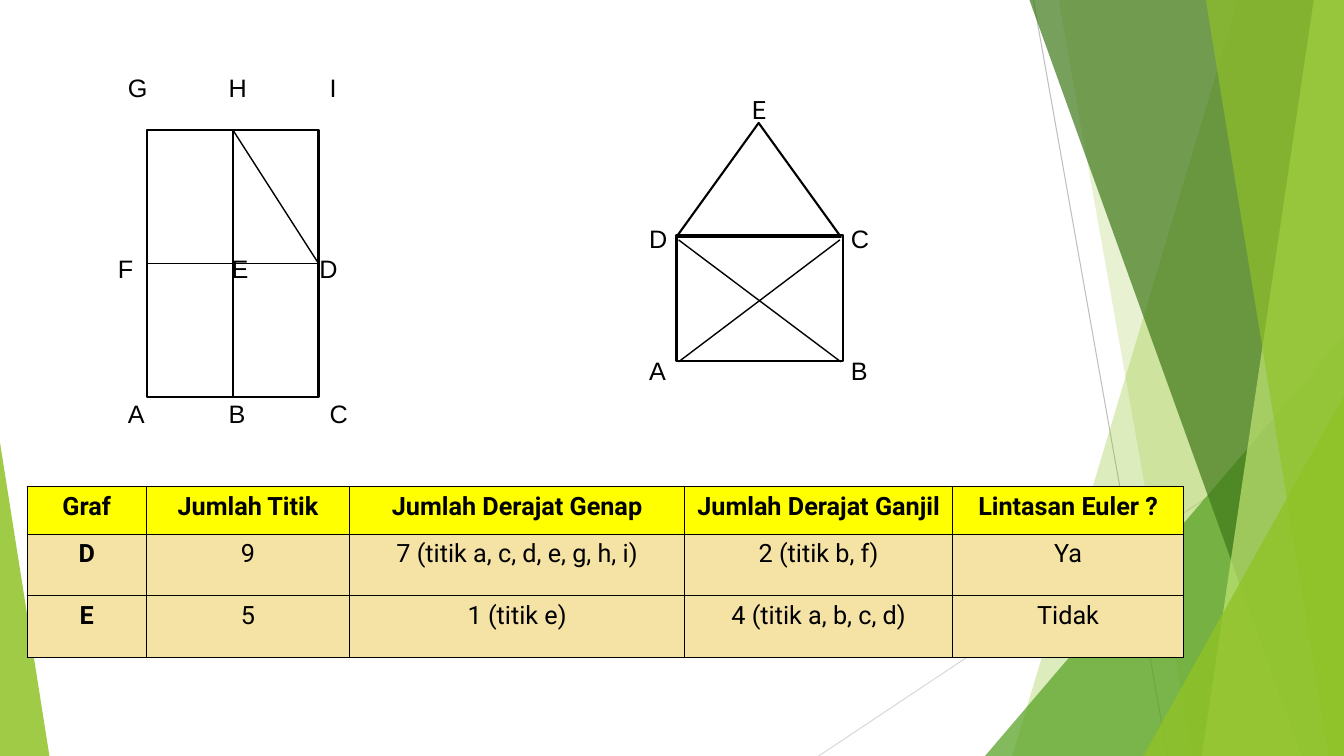
"""Build a slide that compares two graphs and tabulates their Euler paths."""
from dataclasses import dataclass

from lxml import etree
from pptx import Presentation
from pptx.dml.color import RGBColor
from pptx.enum import shapes, text
from pptx.oxml import ns
from pptx.util import Inches, Pt


@dataclass(frozen=True)
class Theme:
    ink: str = "000000"
    header: str = "FFFF00"
    body: str = "F5E3A5"
    lime: str = "90C226"
    green: str = "54A021"
    forest: str = "3F7819"
    pale: str = "C0E474"
    gray: str = "BFBFBF"
    silver: str = "D9D9D9"
    size: int = 18
    label_font: str = "Arial"
    table_font: str = "Roboto"


theme = Theme()
WIDTH, HEIGHT = 13.33, 7.5

deck = Presentation()
deck.slide_width, deck.slide_height = Inches(WIDTH), Inches(HEIGHT)
slide = deck.slides.add_slide(deck.slide_layouts[6])


def write(frame, words, font=theme.label_font, bold=False, align=text.PP_ALIGN.LEFT, stops=()):
    """Put formatted words, with optional tab stops in inches, into a text frame."""
    paragraph = frame.paragraphs[0]
    paragraph.alignment = align
    run = paragraph.add_run()
    run.text = words
    run.font.name, run.font.size, run.font.bold = font, Pt(theme.size), bold
    run.font.color.rgb = RGBColor.from_string(theme.ink)
    if stops:
        tabs = etree.SubElement(paragraph._p.get_or_add_pPr(), ns.qn("a:tabLst"))
        for stop in stops:
            etree.SubElement(tabs, ns.qn("a:tab"), pos=str(Inches(stop)), algn="l")


def segment(start, end, color=theme.ink, weight=1):
    """Draw a straight line between two points in inches."""
    line = slide.shapes.add_connector(
        shapes.MSO_CONNECTOR.STRAIGHT, *(Inches(value) for value in (*start, *end)))
    line.line.color.rgb = RGBColor.from_string(color)
    line.line.width = Pt(weight)
    etree.SubElement(line._element.spPr, ns.qn("a:effectLst"))
    return line


segment((10.25, 0), (11.58, HEIGHT), theme.gray, 0.75)
segment((WIDTH, 4.03), (8.12, HEIGHT), theme.silver, 0.75)

facets = [
    ("band", (12.28, 10.04), theme.lime, 30),
    ("band", (10.5, 11.83), theme.lime, 20),
    ("triangle", (9.77, 3.33, 3.56, 4.17, 1), theme.green, 72),
    ("band", (10.21, 12.91), theme.forest, 70),
    ("band", (13.03, 11.92), theme.pale, 70),
    ("band", (11.96, 13.18), theme.lime, 65),
    ("triangle", (11.34, 3.93, 1.99, 3.57, 1), theme.lime, 80),
    ("triangle", (0, 4.39, 0.49, 3.11, 0), theme.lime, 85),
]
for kind, measures, color, opacity in facets:
    if kind == "band":
        top_x, foot_x = measures
        outline = slide.shapes.build_freeform(Inches(top_x), 0)
        outline.add_line_segments([(Inches(x), Inches(y)) for x, y in (
            (WIDTH, 0), (WIDTH, HEIGHT), (foot_x, HEIGHT))], close=True)
        facet = outline.convert_to_shape()
    else:
        *box, apex = measures
        facet = slide.shapes.add_shape(
            shapes.MSO_SHAPE.ISOSCELES_TRIANGLE, *(Inches(value) for value in box))
        facet.adjustments[0] = apex
    facet.shadow.inherit = False
    facet.line.fill.background()
    facet.fill.solid()
    facet.fill.fore_color.rgb = RGBColor.from_string(color)
    tint = facet._element.spPr.find(ns.qn("a:solidFill"))[0]
    etree.SubElement(tint, ns.qn("a:alpha"), val=str(opacity * 1000))

graph_parts = []
for kind, box in (
    (shapes.MSO_SHAPE.RECTANGLE, (1.46, 1.29, 1.7, 2.65)),
    (shapes.MSO_SHAPE.RECTANGLE, (6.71, 2.33, 1.65, 1.25)),
    (shapes.MSO_SHAPE.ISOSCELES_TRIANGLE, (6.71, 1.22, 1.63, 1.13)),
):
    part = slide.shapes.add_shape(kind, *(Inches(value) for value in box))
    part.shadow.inherit = False
    part.fill.background()
    part.line.color.rgb = RGBColor.from_string(theme.ink)
    part.line.width = Pt(1.5)
    graph_parts.append(part)
grid_frame = graph_parts[0]

TOP, LEFT, BOTTOM, RIGHT = range(4)
for start_side, end_side in ((LEFT, RIGHT), (TOP, BOTTOM), (TOP, RIGHT)):
    edge = segment((1.46, 1.29), (3.16, 2.62))
    edge.begin_connect(grid_frame, start_side)
    edge.end_connect(grid_frame, end_side)

segment((6.73, 2.38), (8.34, 3.59))
segment((6.73, 3.59), (8.33, 2.38))

vertex_rows = [
    ("G\tH\tI", 1.17, 0.67, 2.4, theme.label_font, (1, 2)),
    ("F\tE\tD", 1.07, 2.46, 2.4, theme.label_font, (1.13, 2)),
    ("A\tB\tC", 1.17, 3.9, 2.65, theme.label_font, (1, 2)),
    ("E", 7.36, 0.89, 0.34, theme.table_font, ()),
    ("D\tC", 6.34, 2.17, 2.4, theme.label_font, (2,)),
    ("A\tB", 6.34, 3.48, 2.78, theme.label_font, (2,)),
]
for letters, left, top, width, font, stops in vertex_rows:
    vertices = slide.shapes.add_textbox(Inches(left), Inches(top), Inches(width), Inches(0.4))
    vertices.text_frame.word_wrap = True
    vertices.text_frame.auto_size = text.MSO_AUTO_SIZE.SHAPE_TO_FIT_TEXT
    write(vertices.text_frame, letters, font=font, stops=stops)

euler_rows = [
    ("Graf", "Jumlah Titik", "Jumlah Derajat Genap", "Jumlah Derajat Ganjil", "Lintasan Euler ?"),
    ("D", "9", "7 (titik a, c, d, e, g, h, i)", "2 (titik b, f)", "Ya"),
    ("E", "5", "1 (titik e)", "4 (titik a, b, c, d)", "Tidak"),
]
column_widths = (1.18, 2.02, 3.32, 2.66, 2.29)
row_heights = (0.47, 0.61, 0.61)
euler_table = slide.shapes.add_table(
    len(euler_rows), len(column_widths), Inches(0.27), Inches(4.83),
    Inches(sum(column_widths)), Inches(sum(row_heights))).table
for column, width in zip(euler_table.columns, column_widths):
    column.width = Inches(width)
for row, height in zip(euler_table.rows, row_heights):
    row.height = Inches(height)
for r, entries in enumerate(euler_rows):
    for c, entry in enumerate(entries):
        cell = euler_table.cell(r, c)
        write(cell.text_frame, entry, font=theme.table_font,
              bold=r == 0 or c == 0, align=text.PP_ALIGN.CENTER)
        properties = cell._tc.get_or_add_tcPr()
        for side in ("lnL", "lnR", "lnT", "lnB"):
            border = etree.SubElement(properties, ns.qn(f"a:{side}"), w=str(Pt(1)))
            paint = etree.SubElement(border, ns.qn("a:solidFill"))
            etree.SubElement(paint, ns.qn("a:srgbClr"), val=theme.ink)
        cell.fill.solid()
        cell.fill.fore_color.rgb = RGBColor.from_string(theme.body if r else theme.header)

deck.save("out.pptx")
